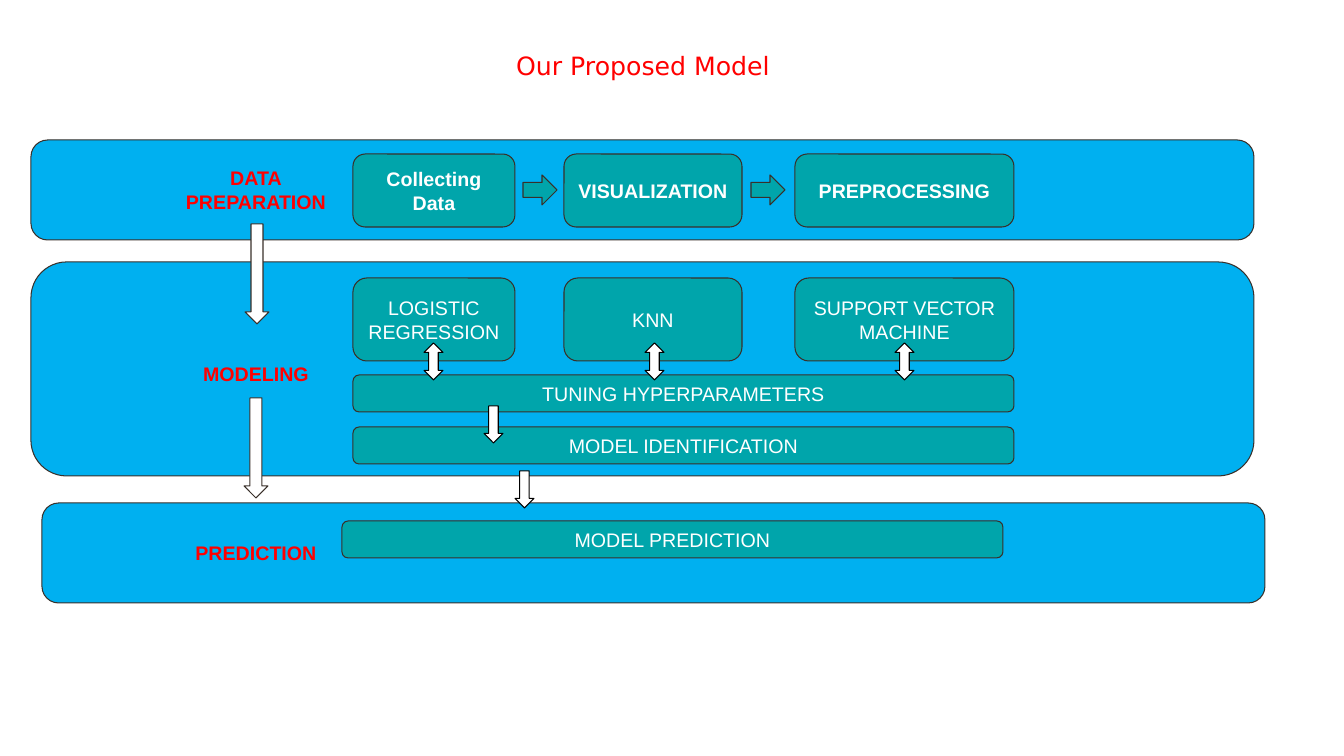
"""Draws the three-stage diagram of the proposed model."""
import pptx
import pptx.dml.color
import pptx.enum.shapes
import pptx.enum.text
import pptx.util

PX = 914400 / 100.8
COLORS = {
    "band": "00B0F0",
    "step": "00A5AB",
    "white": "FFFFFF",
    "red": "FF0000",
    "outline": "39302A",
    "black": "000000",
}
SHAPE = pptx.enum.shapes.MSO_SHAPE
ANCHOR = pptx.enum.text.MSO_ANCHOR


def px(*lengths):
    """Turn pixel lengths into EMU."""
    return [pptx.util.Emu(round(length * PX)) for length in lengths]


def rgb(color):
    """Look up a named colour."""
    return pptx.dml.color.RGBColor.from_string(COLORS[color])


def write(frame, text, color, size=14, bold=False, font="Arial",
          anchor=ANCHOR.TOP, inset=10):
    """Fill a text frame with centred paragraphs in one style."""
    frame.word_wrap = True
    frame.vertical_anchor = anchor
    frame.margin_left, frame.margin_right = px(10, 10)
    frame.margin_top, frame.margin_bottom = px(inset, inset)
    frame.text = text
    for paragraph in frame.paragraphs:
        paragraph.alignment = pptx.enum.text.PP_ALIGN.CENTER
        paragraph.font.size = pptx.util.Pt(size)
        paragraph.font.bold = bold
        paragraph.font.name = font
        paragraph.font.color.rgb = rgb(color)


def add_figure(slide, kind, box, fill, line="outline"):
    """Add a filled and outlined preset shape."""
    figure = slide.shapes.add_shape(kind, *px(*box))
    figure.shadow.inherit = False
    figure.fill.solid()
    figure.fill.fore_color.rgb = rgb(fill)
    figure.line.color.rgb = rgb(line)
    figure.line.width = pptx.util.Pt(0.75)
    return figure


def add_step(slide, text, box, bold=False):
    """Add a rounded box that names one step."""
    step = add_figure(slide, SHAPE.ROUNDED_RECTANGLE, box, "step")
    write(step.text_frame, text, "white", bold=bold, anchor=ANCHOR.MIDDLE)


def add_label(slide, text, box, **style):
    """Add red text without a frame."""
    label = slide.shapes.add_textbox(*px(*box))
    write(label.text_frame, text, "red", **style)


def main():
    """Build and save the slide."""
    deck = pptx.Presentation()
    deck.slide_width, deck.slide_height = px(1344, 756)
    slide = deck.slides.add_slide(deck.slide_layouts[6])

    add_label(slide, "Our Proposed Model", (139, 45, 1008, 40),
              size=18, font="DejaVu Sans", inset=5)

    for left, top, height in ((31, 140, 100), (31, 262, 214), (42, 503, 100)):
        add_figure(slide, SHAPE.ROUNDED_RECTANGLE,
                   (left, top, 1223, height), "band")

    stages = (("DATA\nPREPARATION", 156, 68), ("MODELING", 352, 44),
              ("PREDICTION", 531, 44))
    for stage, top, height in stages:
        add_label(slide, stage, (175, top, 162, height), bold=True)

    columns = ((353, 162, "Collecting Data", "LOGISTIC REGRESSION"),
               (564, 178, "VISUALIZATION", "KNN"),
               (795, 219, "PREPROCESSING", "SUPPORT VECTOR MACHINE"))
    for left, width, preparation, algorithm in columns:
        add_step(slide, preparation, (left, 154, width, 73), bold=True)
        add_step(slide, algorithm, (left, 278, width, 83))

    wide_steps = (("TUNING HYPERPARAMETERS", 353, 375),
                  ("MODEL IDENTIFICATION", 353, 427),
                  ("MODEL PREDICTION", 342, 521))
    for step, left, top in wide_steps:
        add_step(slide, step, (left, top, 661, 37))

    for left in (523, 751):
        add_figure(slide, SHAPE.RIGHT_ARROW, (left, 175, 34, 30), "step")
    for left, top in ((245, 224), (244, 398)):
        add_figure(slide, SHAPE.DOWN_ARROW, (left, top, 24, 100), "white")
    for left, top in ((484, 406), (515, 471)):
        add_figure(slide, SHAPE.DOWN_ARROW, (left, top, 19, 37),
                   "white", "black")
    for left in (424, 645, 895):
        add_figure(slide, SHAPE.UP_DOWN_ARROW, (left, 343, 19, 37),
                   "white", "black")

    deck.save("out.pptx")


if __name__ == "__main__":
    main()
